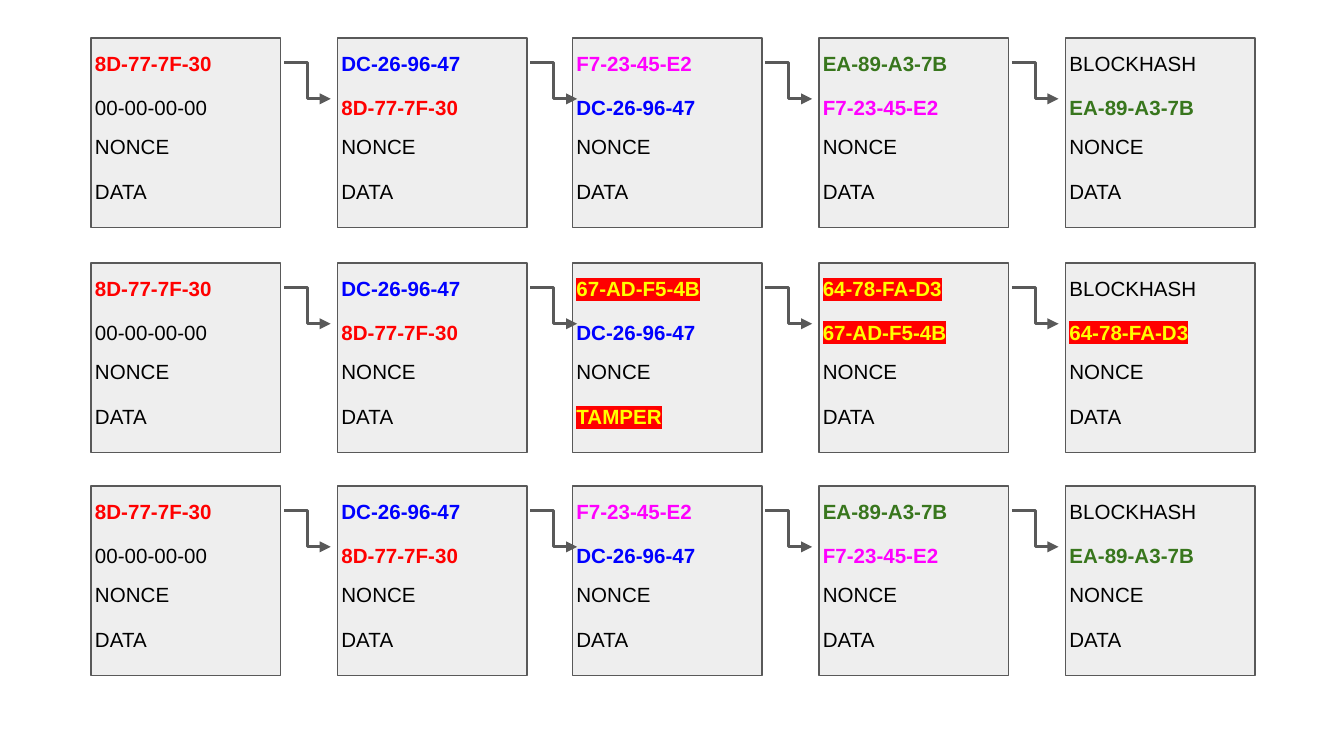
"""Build a slide of three block chains: valid, tampered and valid again."""
from lxml import etree
from pptx import Presentation
from pptx.dml.color import RGBColor
from pptx.enum import shapes, text
from pptx.oxml import ns
from pptx.util import Pt

COLOURS = {
    "box": "EEEEEE", "line": "595959", "plain": "000000", "red": "FF0000",
    "blue": "0000FF", "pink": "FF00FF", "green": "38761D", "yellow": "FFFF00",
}
INKS = {
    "8D-77-7F-30": "red", "DC-26-96-47": "blue", "F7-23-45-E2": "pink",
    "EA-89-A3-7B": "green", "67-AD-F5-4B": "yellow", "64-78-FA-D3": "yellow",
    "TAMPER": "yellow",
}
VALID = ["00-00-00-00", "8D-77-7F-30", "DC-26-96-47", "F7-23-45-E2", "EA-89-A3-7B", "BLOCKHASH"]
TAMPERED = VALID[:3] + ["67-AD-F5-4B", "64-78-FA-D3", "BLOCKHASH"]
CHAINS = [(20.4, VALID), (140.9, TAMPERED), (260.4, VALID)]
LEFTS = [48.8, 180.8, 306.7, 438.7, 570.8]
FIELD_OFFSETS = [0.2, 23.7, 44.9, 68.9]
SIDE = 101.5


def colour(name):
    return RGBColor.from_string(COLOURS[name])


def add_field(block, words, left, top, width, height):
    ink = INKS.get(words, "plain")
    box = block.add_textbox(Pt(left), Pt(top), Pt(width), Pt(height))
    frame = box.text_frame
    frame.word_wrap = True
    frame.auto_size = text.MSO_AUTO_SIZE.SHAPE_TO_FIT_TEXT
    frame.margin_left = frame.margin_right = Pt(7.2)
    frame.margin_top = frame.margin_bottom = Pt(7.2)
    para = frame.paragraphs[0]
    para.font.name = "Arial"
    para.font.size = Pt(11)
    para.font.bold = ink != "plain"
    para.font.color.rgb = colour(ink)
    span = para.add_run()
    span.text = words
    if ink == "yellow":
        highlight = etree.SubElement(span.font._element, ns.qn("a:highlight"))
        etree.SubElement(highlight, ns.qn("a:srgbClr"), val=COLOURS["red"])


deck = Presentation()
deck.slide_width, deck.slide_height = Pt(720), Pt(405)
page = deck.slides.add_slide(deck.slide_layouts[6])

for top, hashes in CHAINS:
    for left, previous, current in zip(LEFTS, hashes, hashes[1:]):
        block = page.shapes.add_group_shape().shapes
        square = block.add_shape(shapes.MSO_SHAPE.RECTANGLE, Pt(left), Pt(top), Pt(SIDE), Pt(SIDE))
        square.shadow.inherit = False
        square.fill.solid()
        square.fill.fore_color.rgb = colour("box")
        square.line.color.rgb = colour("line")
        square.line.width = Pt(0.75)

        data = "TAMPER" if current == "67-AD-F5-4B" else "DATA"
        previous_height = {"plain": 28, "yellow": 54.7}.get(INKS.get(previous, "plain"), 41)
        heights = [41 if INKS.get(current) == "blue" else 28, previous_height, 28, 28]
        fields = zip([current, previous, "NONCE", data], FIELD_OFFSETS, [110, 120, 120, 120], heights)
        for words, offset, width, height in fields:
            add_field(block, words, left - 5, top + offset, width, height)

    for left in LEFTS[:-1]:
        start, level = left + 103.4, top + 13.2
        arrow = page.shapes.add_connector(
            shapes.MSO_CONNECTOR.ELBOW, Pt(start), Pt(level), Pt(start + 25), Pt(level + 19.4))
        arrow.line.color.rgb = colour("line")
        arrow.line.width = Pt(1.5)
        etree.SubElement(arrow.line._get_or_add_ln(), ns.qn("a:tailEnd"), type="triangle")
        etree.SubElement(arrow._element.spPr, ns.qn("a:effectLst"))

deck.save("out.pptx")
